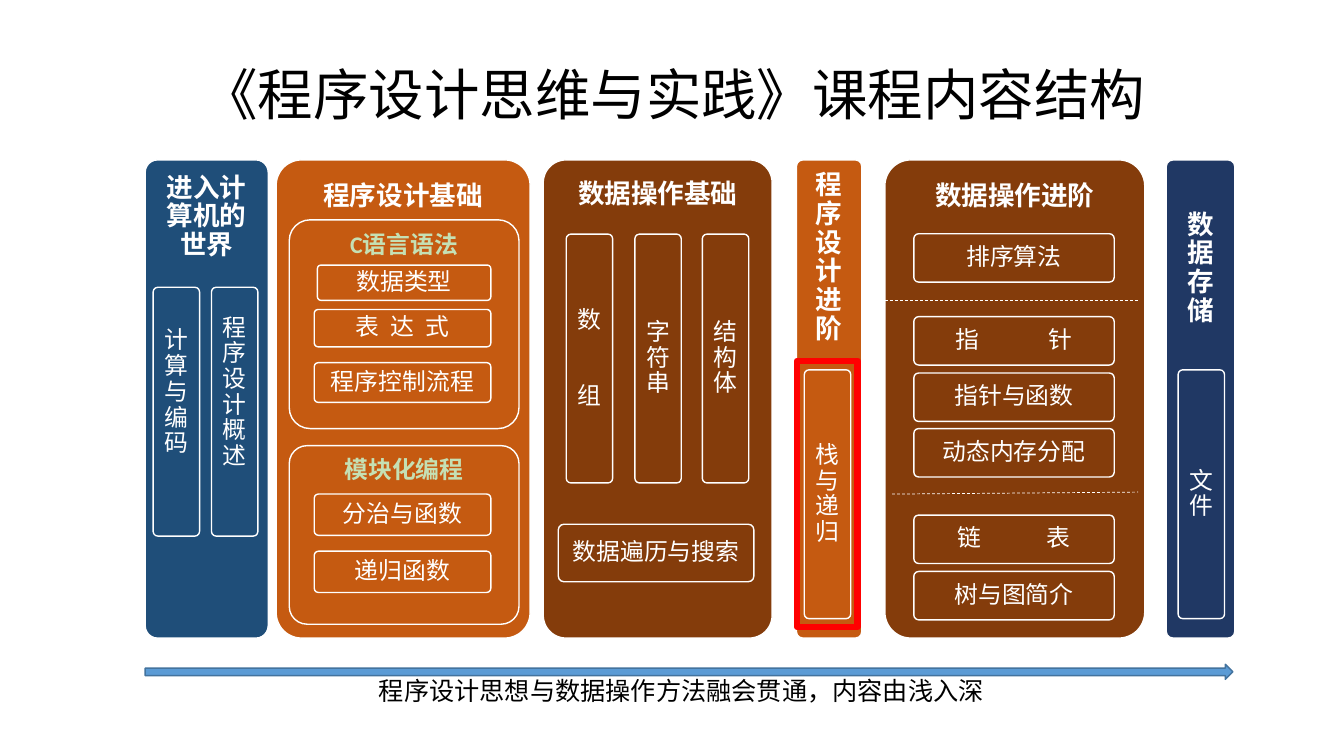
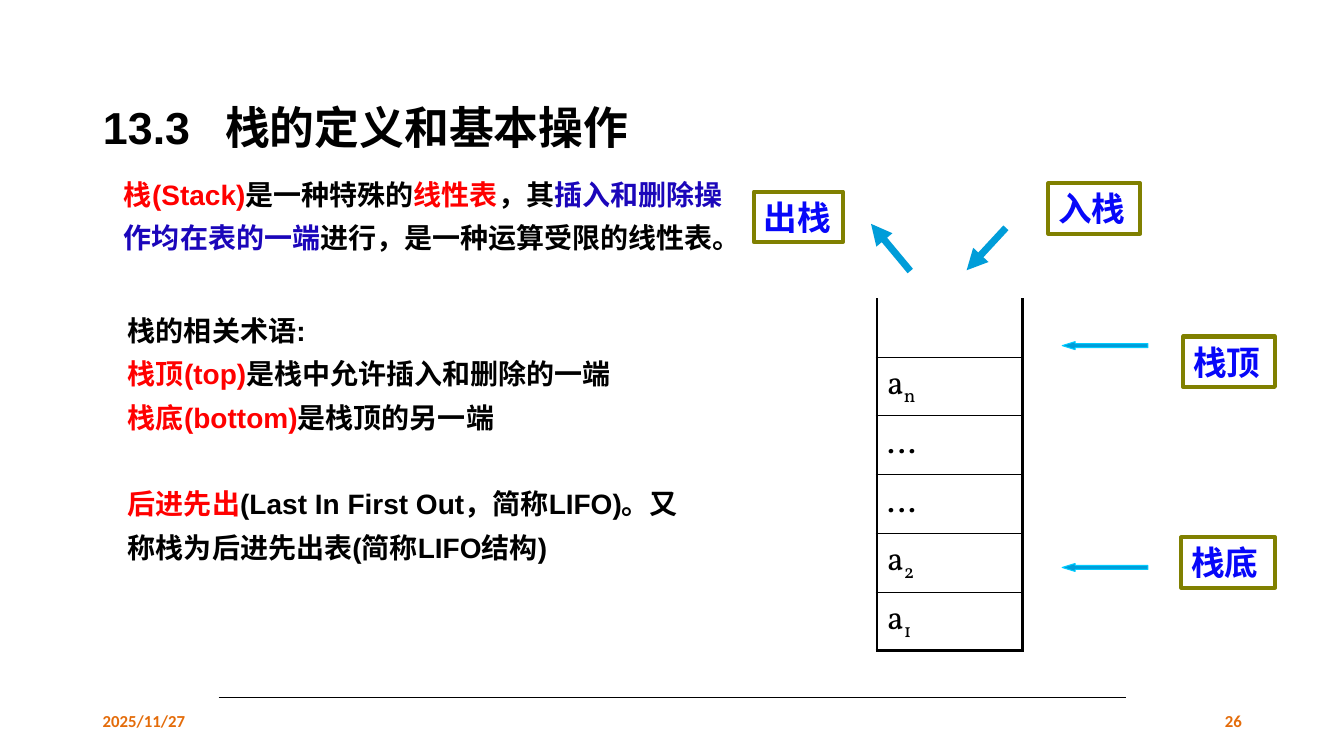
"""Build two slides: the course structure map and the definition of a stack."""
from lxml import etree
from pptx import Presentation
from pptx import util as u
from pptx.dml import color
from pptx.enum import dml, shapes, text
from pptx.oxml import ns

HUE = dict(white="FFFFFF", black="000000", blue="1F4E79", navy="203864",
           rust="C55A11", brown="843C0B", mint="C5E0B4", arrow="5B9BD5",
           rim="43739E", red="FF0000", date="E46C0A", olive="808000",
           label="0707F9", deep="1B06BA", sky="009DD9", cyan="00CCFF")
Cm, Pt = u.Cm, u.Pt
KIND, ALIGN, ANCHOR = shapes.MSO_SHAPE, text.PP_ALIGN, text.MSO_ANCHOR


def say(par, words, size=17, hue="white", bold=False, face="Calibri", gap=0, base=0):
    run = par.add_run()
    run.text = words
    font = run.font
    font.size, font.bold, font.name = Pt(size), bold, face
    font.color.rgb = color.RGBColor.from_string(HUE[hue])
    props = run._r.get_or_add_rPr()
    if gap:
        props.set("spc", str(gap * 100))
    if base:
        props.set("baseline", str(base * 1000))


def draw(slide, kind, area, fill=None, edge="white", width=1):
    if kind == "line":
        x, y, right, low = map(Cm, area)
        item = slide.shapes.add_connector(shapes.MSO_CONNECTOR.STRAIGHT, x, y, right, low)
        etree.SubElement(item._element.spPr, ns.qn("a:effectLst"))
    else:
        item = slide.shapes.add_shape(kind, *map(Cm, area))
        item.shadow.inherit = False
        if fill:
            item.fill.solid()
            item.fill.fore_color.rgb = color.RGBColor.from_string(HUE[fill])
        else:
            item.fill.background()
        if kind == KIND.ROUNDED_RECTANGLE:
            item.adjustments[0] = 0.1
    item.line.color.rgb = color.RGBColor.from_string(HUE[edge])
    item.line.width = Pt(width)
    return item


deck = Presentation()
deck.slide_width, deck.slide_height = Cm(33.87), Cm(19.05)
course = deck.slides.add_slide(deck.slide_layouts[5])
stack = deck.slides.add_slide(deck.slide_layouts[3])

heads = [
    (course, (4.85, 0.76, 24.77, 3.18), 1, [("《程序设计思维与实践》课程内容结构", 0)],
     dict(size=39.6)),
    (stack, (2.34, 1.02, 29.21, 3.68), 1.5,
     [("13.3", 0), (" ", 16), ("栈的定义和基本操作", 0)],
     dict(size=32, bold=True, face="Arial")),
]
for slide, area, lead, runs, style in heads:
    head = slide.shapes.title
    head.left, head.top, head.width, head.height = map(Cm, area)
    frame = head.text_frame
    frame.auto_size = text.MSO_AUTO_SIZE.NONE
    frame.vertical_anchor = ANCHOR.MIDDLE
    par = frame.paragraphs[0]
    par.alignment, par.line_spacing = ALIGN.LEFT, lead
    for words, gap in runs:
        say(par, words, hue="black", gap=gap, **style)

TOP, TALL = 4.03, 12.05
panels = [
    ("进入计算机的世界", 3.66, TOP, 3.1, TALL, "blue", 0.27),
    ("程序设计基础", 6.96, TOP, 6.4, TALL, "rust", 0.38),
    ("C语言语法", 7.29, 5.54, 5.79, 5.26, "rust", 0.18),
    ("模块化编程", 7.29, 11.23, 5.79, 4.5, "rust", 0.18),
    ("数据操作基础", 13.69, TOP, 5.77, TALL, "brown", 0.34),
    ("程序设计进阶", 20.07, TOP, 1.65, TALL, "rust", 0.25),
    ("数据操作进阶", 22.3, TOP, 6.55, TALL, "brown", 0.38),
    ("数据存储", 29.39, TOP, 1.73, TALL, "navy", 1.24),
]
for words, x, y, wide, high, fill, inset in panels:
    panel = draw(course, KIND.ROUNDED_RECTANGLE, (x, y, wide, high), fill)
    frame = panel.text_frame
    frame.vertical_anchor = ANCHOR.TOP
    frame.margin_left = frame.margin_right = Cm(0.2)
    frame.margin_top = Cm(inset)
    par = frame.paragraphs[0]
    par.alignment, par.line_spacing = ALIGN.CENTER, 0.9
    inner = y > TOP
    say(par, words, size=17 if inner else 19, hue="mint" if inner else "white", bold=True)

topics = [("数据类型", 8, 6.68, 4.37, 0.89, "rust", 0),
          ("表达式", 7.92, 7.8, 4.45, 0.94, "rust", 8),
          ("程序控制流程", 7.92, 9.14, 4.45, 1, "rust", 0),
          ("分治与函数", 7.92, 12.45, 4.45, 1.04, "rust", 0),
          ("递归函数", 7.92, 13.89, 4.45, 1.04, "rust", 0),
          ("数据遍历与搜索", 14.07, 13.21, 4.93, 1.45, "brown", 0)]
for words, y, gap in [("排序算法", 5.89, 0), ("指针", 7.98, 49), ("指针与函数", 9.4, 0),
                      ("动态内存分配", 10.8, 0), ("链表", 12.98, 46), ("树与图简介", 14.4, 0)]:
    topics.append((words, 23.03, y, 5.05, 1.22, "brown", gap))
for words, x, y, fill in [("计算与编码", 3.86, 7.24, "blue"), ("程序设计概述", 5.33, 7.24, "blue"),
                          ("数\n组", 14.27, 5.9, "brown"), ("字符串", 16, 5.9, "brown"),
                          ("结构体", 17.7, 5.9, "brown"), ("栈与递归", 20.27, 9.32, "rust"),
                          ("文件", 29.69, 9.32, "navy")]:
    topics.append((words, x, y, 1.17, 6.27, fill, 0))
for words, x, y, wide, high, fill, gap in topics:
    topic = draw(course, KIND.ROUNDED_RECTANGLE, (x, y, wide, high), fill)
    frame = topic.text_frame
    frame.margin_left = frame.margin_right = Cm(0.15)
    frame.margin_top = Cm(0.1)
    frame.margin_bottom = Cm(1.06 if fill == "blue" else 0.1)
    for i, part in enumerate(words.split("\n")):
        par = frame.add_paragraph() if i else frame.paragraphs[0]
        par.alignment, par.line_spacing = ALIGN.CENTER, 0.9
        if i:
            par.space_before = Pt(36)
        if gap:
            say(par, part[:-1], gap=gap)
            say(par, part[-1])
        else:
            say(par, part)

for area in [(22.3, 7.57, 28.68, 7.57), (22.48, 12.45, 28.68, 12.4)]:
    rule = draw(course, "line", area, width=0.5)
    rule.line.dash_style = dml.MSO_LINE.DASH
draw(course, KIND.RIGHT_ARROW, (3.66, 16.74, 27.41, 0.38), "arrow", "rim")
draw(course, KIND.RECTANGLE, (20.09, 9.09, 1.52, 6.71), edge="red", width=4.5)

notes = [
    (course, (9.3, 16.89, 19.63, 1.02), "程序设计思想与数据操作方法融会贯通，内容由浅入深",
     ALIGN.LEFT, dict(size=18, hue="black")),
    (stack, (2.34, 17.65, 7.62, 1.02), "2025/11/27", ALIGN.LEFT,
     dict(size=12, hue="date", bold=True)),
    (stack, (23.93, 17.65, 7.62, 1.02), "26", ALIGN.RIGHT,
     dict(size=12, hue="date", bold=True)),
]
for slide, area, words, align, style in notes:
    frame = slide.shapes.add_textbox(*map(Cm, area)).text_frame
    frame.word_wrap = True
    frame.vertical_anchor = ANCHOR.MIDDLE
    par = frame.paragraphs[0]
    par.alignment = align
    say(par, words, **style)
draw(stack, "line", (5.51, 17.58, 28.37, 17.58), edge="black", width=0.5)

bodies = [
    (1, (2.87, 4.09, 15.67, 3.4), [
        [("栈(Stack)", "red"), ("是一种特殊的", "black"), ("线性表", "red"), ("，其", "black"),
         ("插入和删除操作均在表的一端", "deep"), ("进行，是一种运算受限的线性表。", "black")]]),
    (2, (2.97, 7.52, 14.58, 7.87), [
        [("栈的相关术语:", "black")],
        [("栈顶(top)", "red"), ("是栈中允许插入和删除的一端", "black")],
        [("栈底(bottom)", "red"), ("是栈顶的另一端", "black")],
        [("后进先出", "red"),
         ("(Last In First Out，简称LIFO)。又称栈为后进先出表(简称LIFO结构)", "black")]]),
]
for spot, area, pars in bodies:
    body = stack.placeholders[spot]
    body.left, body.top, body.width, body.height = map(Cm, area)
    frame = body.text_frame
    frame.auto_size = text.MSO_AUTO_SIZE.NONE
    for i, runs in enumerate(pars):
        par = frame.add_paragraph() if i else frame.paragraphs[0]
        props = par._p.get_or_add_pPr()
        props.set("marL", "0")
        props.set("indent", "0")
        etree.SubElement(props, ns.qn("a:buNone"))
        par.line_spacing = Pt(31)
        par.space_before = Pt(31 if i == 3 else 0)
        for words, hue in runs:
            say(par, words, size=20, hue=hue, bold=True, face="Arial")

cells = ["", "an", "…", "…", "a2", "a1"]
grid = stack.shapes.add_table(len(cells), 1, Cm(22.1), Cm(7.52), Cm(3.66), Cm(8.88)).table
grid.first_row = grid.horz_banding = False
for i, words in enumerate(cells):
    grid.rows[i].height = Cm(1.48)
    cell = grid.cell(i, 0)
    cell.vertical_anchor = ANCHOR.MIDDLE
    props = cell._tc.get_or_add_tcPr()
    low = 2.25 if i == len(cells) - 1 else 1
    for side, width in [("L", 2.25), ("R", 2.25), ("T", 1 if i else 0), ("B", low)]:
        edge = etree.SubElement(props, ns.qn("a:ln" + side), w=str(Pt(width)))
        if width:
            paint = etree.SubElement(edge, ns.qn("a:solidFill"))
            etree.SubElement(paint, ns.qn("a:srgbClr"), val=HUE["black"])
        else:
            etree.SubElement(edge, ns.qn("a:noFill"))
    cell.fill.background()
    par = cell.text_frame.paragraphs[0]
    for j, mark in enumerate(words):
        say(par, mark, size=24, hue="black", face="Vollkorn", base=-25 * j)

for words, x, y, wide in [("出栈", 19, 4.83, 2.24), ("入栈", 26.42, 4.62, 2.31),
                          ("栈顶", 29.82, 8.48, 2.31), ("栈底", 29.77, 13.54, 2.36)]:
    label = draw(stack, KIND.RECTANGLE, (x, y, wide, 1.27), edge="olive", width=3)
    label.text_frame.word_wrap = False
    par = label.text_frame.paragraphs[0]
    par.alignment = ALIGN.LEFT
    say(par, words, size=24, hue="label", bold=True, face="Times New Roman")

for y in (8.61, 14.2):
    point = draw(stack, KIND.LEFT_ARROW, (26.77, y, 2.16, 0.2), "sky", "cyan", 0.75)
    point.adjustments[1] = 1.62
for area in [(25.35, 5.74, 24.36, 6.81), (22.94, 6.83, 21.95, 5.64)]:
    move = draw(stack, "line", area, edge="sky", width=5)
    etree.SubElement(move.line._get_or_add_ln(), ns.qn("a:tailEnd"), type="triangle")

deck.save("out.pptx")
